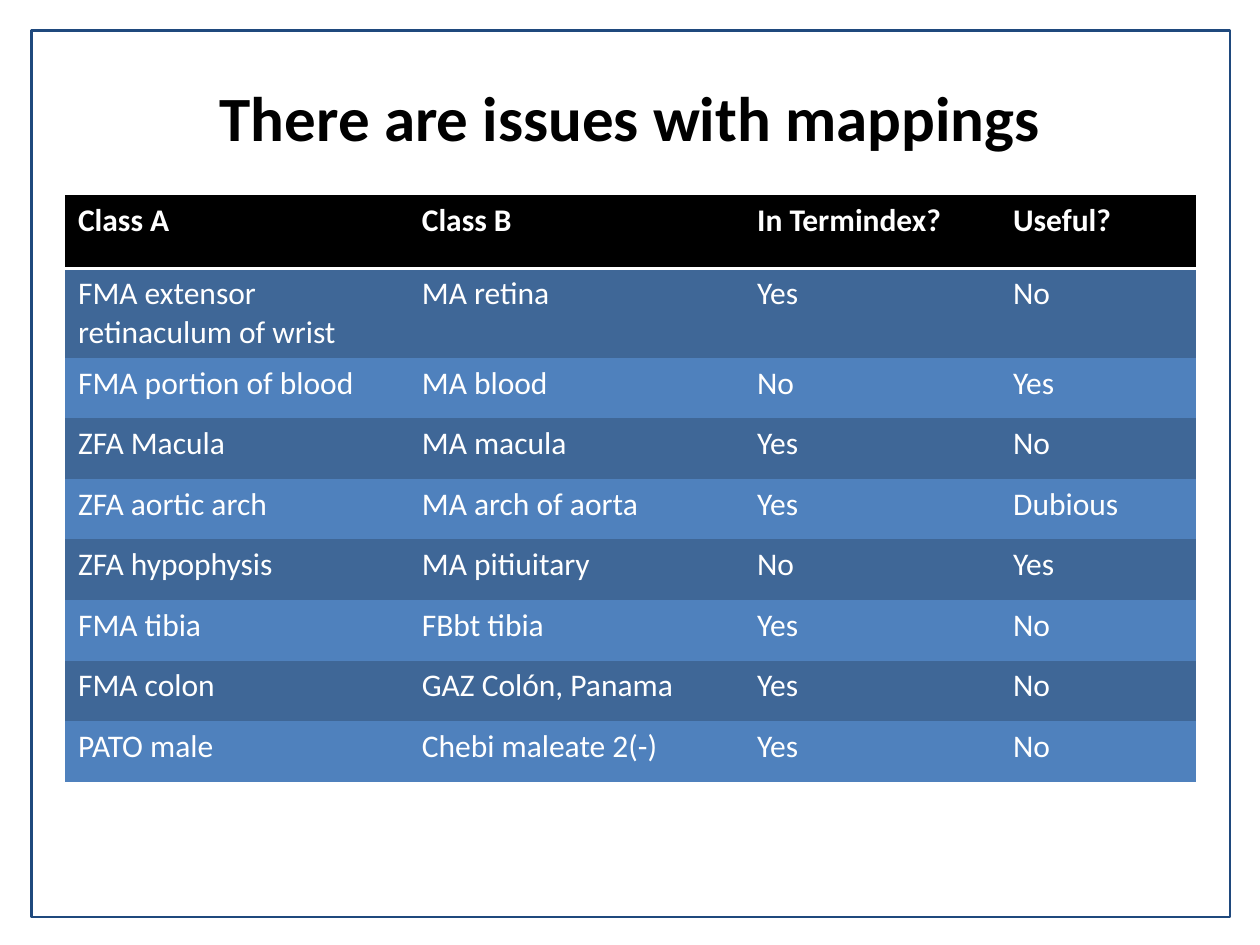
from lxml import etree
from pptx import Presentation
from pptx.dml.color import RGBColor
from pptx.enum import shapes, text
from pptx.oxml import ns
from pptx.util import Cm, Pt

FONT = "Calibri"
BLACK = RGBColor(0x00, 0x00, 0x00)
WHITE = RGBColor(0xFF, 0xFF, 0xFF)
NAVY = RGBColor(0x1F, 0x49, 0x7D)
DARK_BAND = RGBColor(0x3F, 0x67, 0x97)
LIGHT_BAND = RGBColor(0x4F, 0x81, 0xBD)

PLAIN_TABLE_STYLE = "{2D5ABB26-0587-4C30-8999-92F81FD0307C}"
COLUMN_WIDTHS = [6.93, 6.76, 5.16, 3.94]
HEADER_HEIGHT, ROW_HEIGHT = 1.47, 1.22
MAPPINGS = [
    ("Class A", "Class B", "In Termindex?", "Useful?"),
    ("FMA extensor retinaculum of wrist", "MA retina", "Yes", "No"),
    ("FMA portion of blood", "MA blood", "No", "Yes"),
    ("ZFA Macula", "MA macula", "Yes", "No"),
    ("ZFA aortic arch", "MA arch of aorta", "Yes", "Dubious"),
    ("ZFA hypophysis", "MA pitiuitary", "No", "Yes"),
    ("FMA tibia", "FBbt tibia", "Yes", "No"),
    ("FMA colon", "GAZ Colón, Panama", "Yes", "No"),
    ("PATO male", "Chebi maleate 2(-)", "Yes", "No"),
]


def add_run(paragraph, content, size, color, bold=False):
    run = paragraph.add_run()
    run.text = content
    run.font.name = FONT
    run.font.size = Pt(size)
    run.font.bold = bold
    run.font.color.rgb = color


def set_bottom_border(cell, color, width):
    properties = cell._tc.get_or_add_tcPr()
    line = etree.Element(ns.qn("a:lnB"), w=str(Pt(width)))
    fill = etree.SubElement(line, ns.qn("a:solidFill"))
    etree.SubElement(fill, ns.qn("a:srgbClr"), val=str(color))
    properties.insert(0, line)


def add_title(slide, left, top, width, height):
    title = slide.shapes.title
    title.left, title.top = Cm(left), Cm(top)
    title.width, title.height = Cm(width), Cm(height)
    title.text_frame.vertical_anchor = text.MSO_ANCHOR.MIDDLE
    paragraph = title.text_frame.paragraphs[0]
    paragraph.alignment = text.PP_ALIGN.CENTER
    add_run(paragraph, "There are issues with mappings", 36, BLACK, bold=True)


def add_mapping_table(slide, left, top):
    height = HEADER_HEIGHT + ROW_HEIGHT * (len(MAPPINGS) - 1)
    frame = slide.shapes.add_table(
        len(MAPPINGS), len(COLUMN_WIDTHS),
        Cm(left), Cm(top), Cm(sum(COLUMN_WIDTHS)), Cm(height))
    table = frame.table
    table._tbl.tblPr.find(ns.qn("a:tableStyleId")).text = PLAIN_TABLE_STYLE
    for column, width in zip(table.columns, COLUMN_WIDTHS):
        column.width = Cm(width)

    for index, (row, values) in enumerate(zip(table.rows, MAPPINGS)):
        is_header = index == 0
        row.height = Cm(HEADER_HEIGHT if is_header else ROW_HEIGHT)
        band = DARK_BAND if index % 2 else LIGHT_BAND
        for cell, value in zip(row.cells, values):
            cell.fill.solid()
            cell.fill.fore_color.rgb = BLACK if is_header else band
            add_run(cell.text_frame.paragraphs[0], value, 18, WHITE, is_header)
            if is_header:
                set_bottom_border(cell, WHITE, 2)


def add_page_frame(slide, left, top, width, height):
    frame = slide.shapes.add_shape(
        shapes.MSO_SHAPE.RECTANGLE, Cm(left), Cm(top), Cm(width), Cm(height))
    frame.shadow.inherit = False
    frame.fill.background()
    frame.line.color.rgb = NAVY
    frame.line.width = Pt(1.5)


def main():
    presentation = Presentation()
    presentation.slide_width, presentation.slide_height = Cm(25.4), Cm(19.05)
    title_only = presentation.slide_layouts[5]
    slide = presentation.slides.add_slide(title_only)

    # Heading, table of mappings, then the frame around the page
    add_title(slide, 1.27, 0.76, 22.86, 3.18)
    add_mapping_table(slide, 1.32, 3.94)
    add_page_frame(slide, 0.64, 0.61, 24.16, 17.88)

    presentation.save("out.pptx")


if __name__ == "__main__":
    main()
